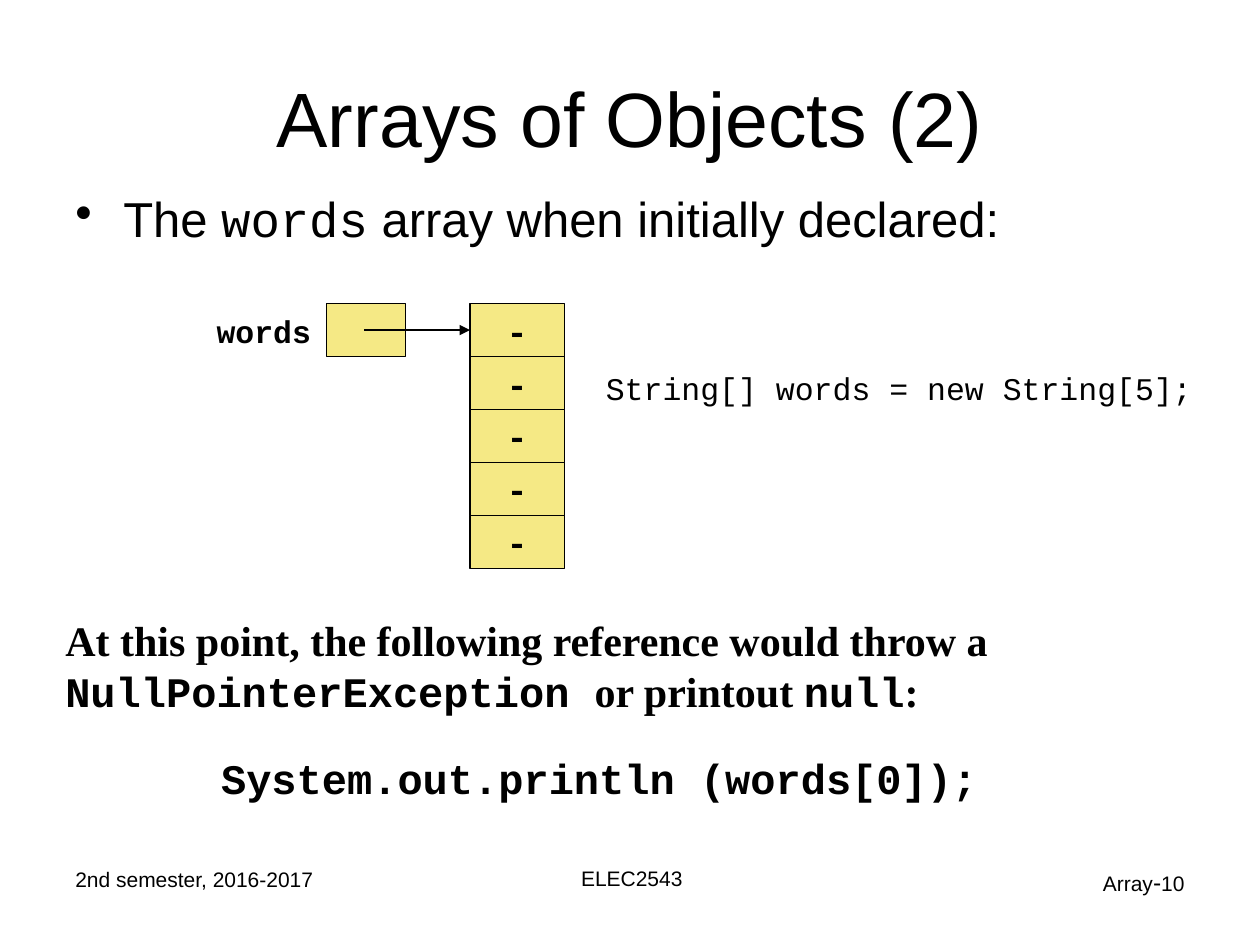
"""Build the slide on a freshly declared array of objects."""
from dataclasses import dataclass

from lxml.etree import SubElement
from pptx import Presentation
from pptx.dml.color import RGBColor
from pptx.enum.shapes import MSO_CONNECTOR, MSO_SHAPE
from pptx.enum.text import MSO_ANCHOR, PP_ALIGN
from pptx.oxml.ns import qn
from pptx.util import Inches, Pt


@dataclass(frozen=True)
class Theme:
    ink: RGBColor = RGBColor(0x00, 0x00, 0x00)
    cell: RGBColor = RGBColor(0xF5, 0xE9, 0x85)
    sans: str = "Arial"
    serif: str = "Times New Roman"
    code: str = "Courier New"
    title: Pt = Pt(44)
    body: Pt = Pt(28)
    remark: Pt = Pt(24)
    dash: Pt = Pt(20)
    label: Pt = Pt(18)
    footer_dash: Pt = Pt(14)
    footer: Pt = Pt(12)
    outline: Pt = Pt(0.75)


theme = Theme()


def write(paragraph, runs, font, size, bold=False, alignment=PP_ALIGN.LEFT):
    paragraph.alignment = alignment
    paragraph.font.name = font
    paragraph.font.size = size
    paragraph.font.bold = bold
    paragraph.font.color.rgb = theme.ink
    for text, run_font, run_size in runs:
        run = paragraph.add_run()
        run.text = text
        if run_font != font:
            run.font.name = run_font
        if run_size != size:
            run.font.size = run_size


def add_box(shapes, left, top, width, height, fill=None, wrap=True):
    bounds = Inches(left), Inches(top), Inches(width), Inches(height)
    if fill is None:
        shape = shapes.add_textbox(*bounds)
    else:
        shape = shapes.add_shape(MSO_SHAPE.RECTANGLE, *bounds)
        shape.shadow.inherit = False
        shape.fill.solid()
        shape.fill.fore_color.rgb = fill
        shape.line.color.rgb = theme.ink
        shape.line.width = theme.outline
        shape.text_frame.vertical_anchor = MSO_ANCHOR.MIDDLE
    shape.text_frame.word_wrap = wrap
    return shape


presentation = Presentation()
presentation.slide_width = Inches(10)
presentation.slide_height = Inches(7.5)
slide = presentation.slides.add_slide(presentation.slide_layouts[5])

title = slide.shapes.title
title.left, title.top, title.width, title.height = Inches(0.5), Inches(0.3), Inches(9), Inches(1.25)
title.text_frame.vertical_anchor = MSO_ANCHOR.MIDDLE
write(title.text_frame.paragraphs[0], [("Arrays of Objects (2)", theme.sans, theme.title)],
      theme.sans, theme.title, alignment=PP_ALIGN.CENTER)

body = add_box(slide.shapes, 0.5, 1.5, 9.08, 0.55)
paragraph = body.text_frame.paragraphs[0]
write(paragraph, [
    ("The ", theme.sans, theme.body),
    ("words", theme.code, theme.body),
    (" array when initially declared:", theme.sans, theme.body),
], theme.sans, theme.body)
paragraph.line_spacing = 0.9
paragraph.space_before = Pt(7)
properties = paragraph._p.get_or_add_pPr()
properties.set("marL", str(Inches(0.38)))
properties.set("indent", str(Inches(-0.38)))
bullet = properties.makeelement(qn("a:buChar"), {"char": "•"})
properties.find(qn("a:defRPr")).addprevious(bullet)

diagram = slide.shapes.add_group_shape().shapes
cell_top, cell_height, column_left = 2.41, 0.42, 3.73
add_box(diagram, 2.59, cell_top, 0.63, cell_height, theme.cell)
variable = add_box(diagram, 1.62, 2.43, 0.95, 0.4, wrap=False)
write(variable.text_frame.paragraphs[0], [("words", theme.code, theme.label)],
      theme.code, theme.label, bold=True)
for index in range(5):
    cell = add_box(diagram, column_left, cell_top + index * cell_height, 0.75, cell_height,
                   theme.cell, wrap=False)
    write(cell.text_frame.paragraphs[0], [("-", theme.code, theme.dash)],
          theme.code, theme.dash, bold=True, alignment=PP_ALIGN.CENTER)

arrow_y = Inches(cell_top + cell_height / 2)
arrow = diagram.add_connector(MSO_CONNECTOR.STRAIGHT, Inches(2.89), arrow_y,
                              Inches(column_left), arrow_y)
arrow.line.color.rgb = theme.ink
arrow.line.width = theme.outline
SubElement(arrow.line._get_or_add_ln(), qn("a:tailEnd"), type="triangle")
SubElement(arrow._element.spPr, qn("a:effectLst"))

remark = add_box(slide.shapes, 0.42, 4.83, 8.67, 1.83).text_frame
write(remark.paragraphs[0], [
    ("At this point, the following reference would throw a ", theme.serif, theme.remark),
    ("NullPointerException ", theme.code, theme.remark),
    ("or printout ", theme.serif, theme.remark),
    ("null", theme.code, theme.remark),
    (":", theme.serif, theme.remark),
], theme.serif, theme.remark, bold=True)
write(remark.add_paragraph(), [("System.out.println (words[0]);", theme.code, theme.remark)],
      theme.code, theme.remark, bold=True, alignment=PP_ALIGN.CENTER)
for paragraph in remark.paragraphs:
    paragraph.space_before = Pt(21)

declaration = add_box(slide.shapes, 4.71, 2.88, 4.85, 0.7, wrap=False)
write(declaration.text_frame.paragraphs[0],
      [("String[] words = new String[5];", theme.code, theme.label)], theme.code, theme.label)

footers = [
    (0.5, 6.83, 2.33, PP_ALIGN.LEFT, [("2nd semester, 2016-2017", theme.sans, theme.footer)]),
    (3.43, 6.82, 3.17, PP_ALIGN.CENTER, [("ELEC2543", theme.sans, theme.footer)]),
    (7.17, 6.83, 2.33, PP_ALIGN.RIGHT, [
        ("Array", theme.sans, theme.footer),
        ("-", theme.sans, theme.footer_dash),
        ("10", theme.sans, theme.footer),
    ]),
]
for left, top, width, alignment, runs in footers:
    footer = add_box(slide.shapes, left, top, width, 0.52)
    write(footer.text_frame.paragraphs[0], runs, theme.sans, theme.footer, alignment=alignment)

presentation.save("out.pptx")
